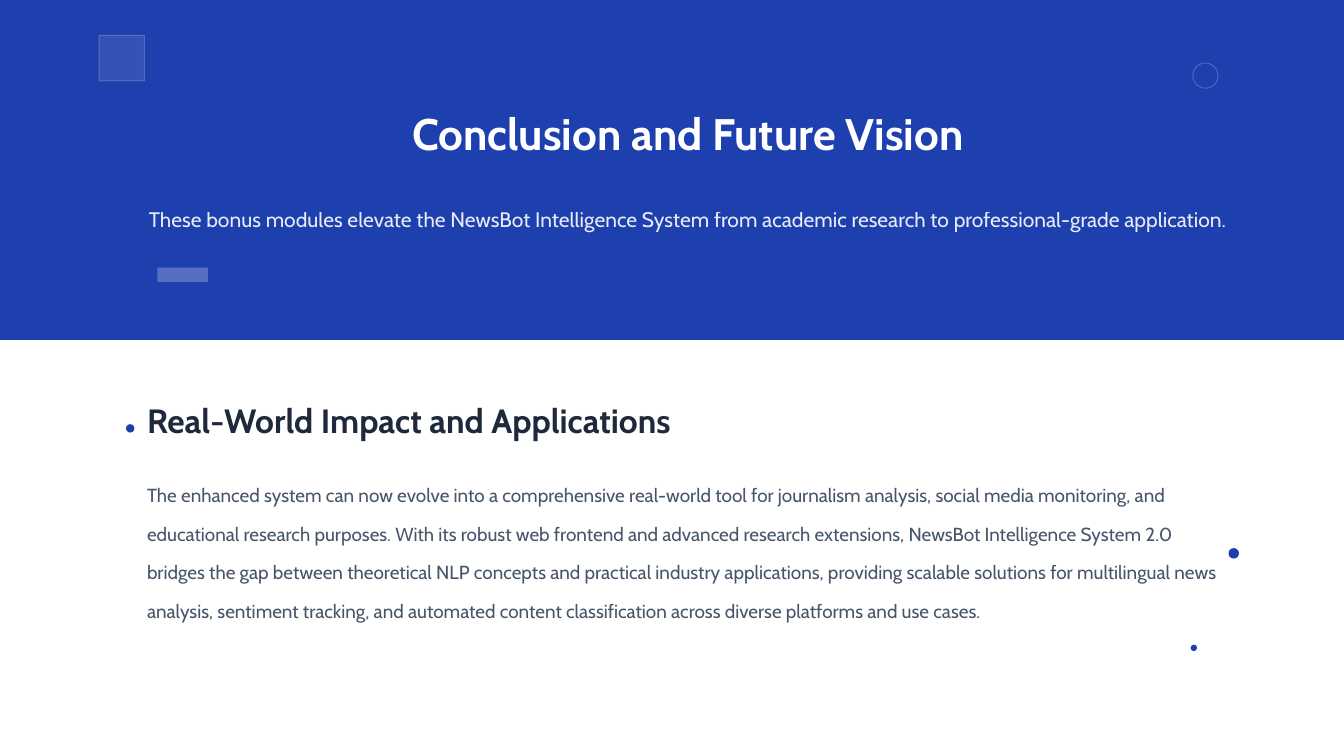
from lxml.etree import SubElement
from pptx import Presentation
from pptx.dml.color import RGBColor
from pptx.enum.shapes import MSO_SHAPE
from pptx.enum.text import MSO_ANCHOR, PP_ALIGN
from pptx.oxml.ns import qn
from pptx.util import Inches, Pt

BLUE = RGBColor(0x1E, 0x40, 0xAF)
WHITE = RGBColor(0xFF, 0xFF, 0xFF)
PALE = RGBColor(0xF1, 0xF5, 0xF9)
INK = RGBColor(0x1E, 0x29, 0x3B)
SLATE = RGBColor(0x47, 0x55, 0x69)

COLUMNS, ROWS = 64, 36
HEADER_ROWS = 16.2
TEXT_LEFT, TEXT_WIDTH = 7, 51.5

deck = Presentation()
deck.slide_width = Inches(17.78)
deck.slide_height = Inches(10)
column = deck.slide_width / COLUMNS
row = deck.slide_height / ROWS
page = deck.slides.add_slide(deck.slide_layouts[6])
page.background.fill.solid()
page.background.fill.fore_color.rgb = PALE


def place(left, top, width, height):
    return (round(left * column), round(top * row),
            round(width * column), round(height * row))


def set_opacity(element, percent):
    for color in element.iter(qn("a:srgbClr")):
        SubElement(color, qn("a:alpha")).set("val", str(percent * 1000))


RECTANGLE, ROUND = MSO_SHAPE.RECTANGLE, MSO_SHAPE.ROUNDED_RECTANGLE
shapes = [
    (RECTANGLE, (0, 0, COLUMNS, HEADER_ROWS), BLUE, 100, False),
    (RECTANGLE, (4.72, 1.69, 2.16, 2.16), WHITE, 10, True),
    (ROUND, (56.8, 3, 1.2, 1.2), None, 100, True),
    (RECTANGLE, (7.5, 12.75, 2.4, 0.68), WHITE, 25, False),
    (RECTANGLE, (0, HEADER_ROWS, COLUMNS, ROWS - HEADER_ROWS), WHITE, 100, False),
    (ROUND, (6, 20.2, 0.4, 0.4), BLUE, 100, False),
    (ROUND, (56.7, 30.7, 0.3, 0.3), BLUE, 100, False),
    (ROUND, (58.5, 26.1, 0.5, 0.5), BLUE, 100, False),
]
for kind, area, fill, opacity, outlined in shapes:
    shape = page.shapes.add_shape(kind, *place(*area))
    shape.shadow.inherit = False
    if kind == ROUND:
        shape.adjustments[0] = 0.5
    if fill is None:
        shape.fill.background()
    else:
        shape.fill.solid()
        shape.fill.fore_color.rgb = fill
        if opacity < 100:
            set_opacity(shape.element.spPr, opacity)
    if outlined:
        shape.line.color.rgb = WHITE
        shape.line.width = Pt(1)
        set_opacity(shape.line.fill._xPr, 20)
    else:
        shape.line.fill.background()

texts = [
    ("Conclusion and Future Vision",
     5.1, 2.48, 42, True, WHITE, 100, PP_ALIGN.CENTER, 1),
    ("These bonus modules elevate the NewsBot Intelligence System from academic "
     "research to professional-grade application.",
     8.85, 3.2, 20, False, WHITE, 90, PP_ALIGN.CENTER, 1),
    ("Real-World Impact and Applications",
     18.7, 2.05, 32, True, INK, 100, PP_ALIGN.LEFT, 1.3),
    ("The enhanced system can now evolve into a comprehensive real-world tool for "
     "journalism analysis, social media monitoring, and educational research purposes. "
     "With its robust web frontend and advanced research extensions, NewsBot "
     "Intelligence System 2.0 bridges the gap between theoretical NLP concepts and "
     "practical industry applications, providing scalable solutions for multilingual "
     "news analysis, sentiment tracking, and automated content classification across "
     "diverse platforms and use cases.",
     22.15, 7.6, 18, False, SLATE, 100, PP_ALIGN.LEFT, 1.7),
]
for text, top, height, size, bold, color, opacity, alignment, spacing in texts:
    box = page.shapes.add_textbox(*place(TEXT_LEFT, top, TEXT_WIDTH, height))
    frame = box.text_frame
    frame.word_wrap = True
    frame.vertical_anchor = MSO_ANCHOR.MIDDLE
    frame.margin_left = frame.margin_right = frame.margin_top = frame.margin_bottom = 0
    para = frame.paragraphs[0]
    para.text = text
    para.alignment = alignment
    para.line_spacing = spacing
    para.font.name = "Cabin"
    para.font.size = Pt(size)
    para.font.bold = bold
    para.font.color.rgb = color
    if opacity < 100:
        set_opacity(box.element, opacity)

deck.save("out.pptx")
